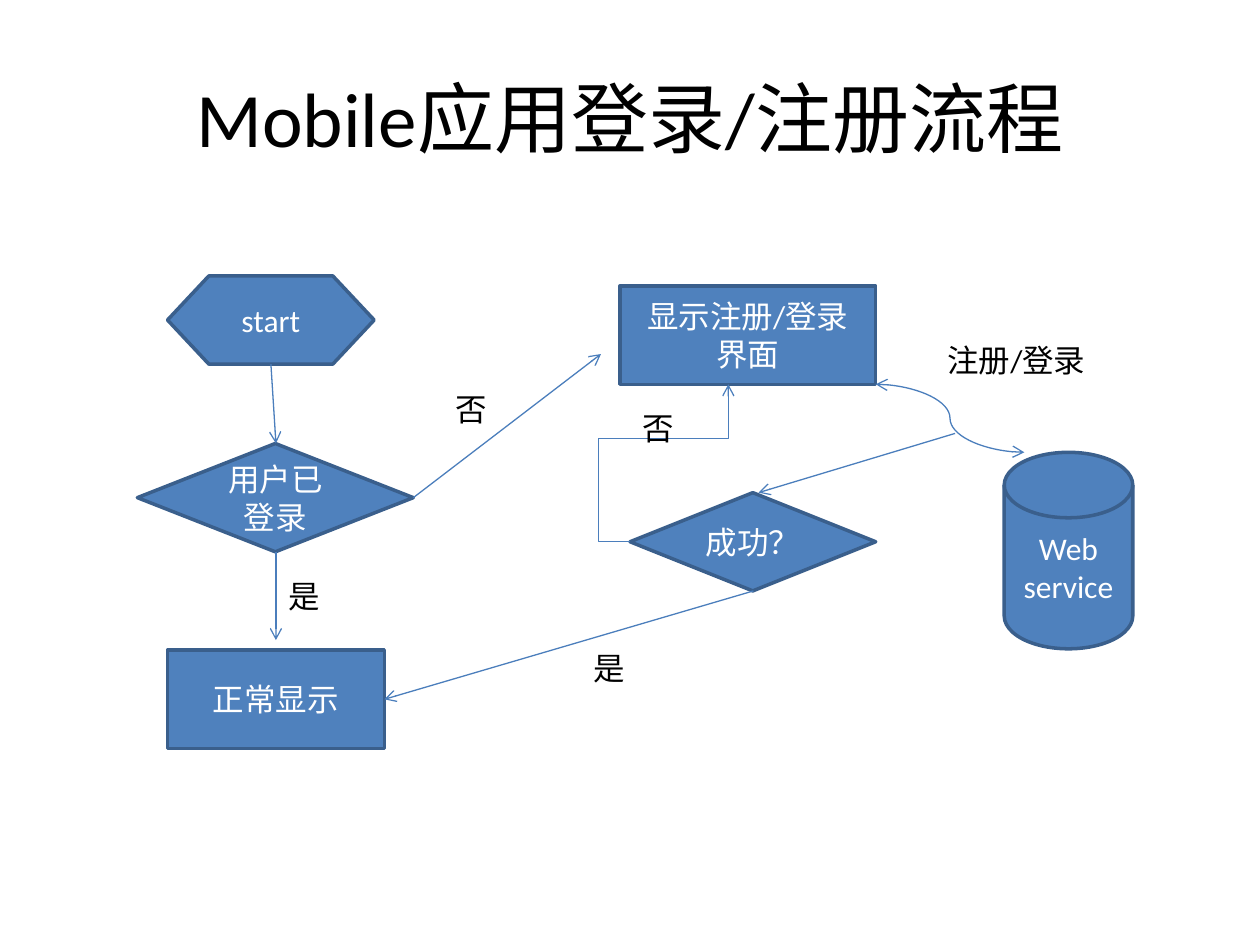
from lxml import etree
from pptx import Presentation
from pptx.dml.color import RGBColor
from pptx.enum.shapes import MSO_CONNECTOR, MSO_SHAPE
from pptx.enum.text import MSO_ANCHOR, PP_ALIGN
from pptx.oxml.ns import qn
from pptx.util import Inches, Pt

FONT = "Calibri"
BLACK = RGBColor(0x00, 0x00, 0x00)
WHITE = RGBColor(0xFF, 0xFF, 0xFF)
NODE_FILL = RGBColor(0x4F, 0x81, 0xBD)
NODE_LINE = RGBColor(0x3A, 0x5F, 0x8C)
ARROW_LINE = RGBColor(0x4B, 0x7E, 0xBC)
PREPARATION = MSO_SHAPE.FLOWCHART_PREPARATION
DECISION = MSO_SHAPE.FLOWCHART_DECISION
PROCESS = MSO_SHAPE.FLOWCHART_PROCESS
DISK = MSO_SHAPE.FLOWCHART_MAGNETIC_DISK
STRAIGHT = MSO_CONNECTOR.STRAIGHT
ELBOW = MSO_CONNECTOR.ELBOW
CURVE = MSO_CONNECTOR.CURVE
CENTER = PP_ALIGN.CENTER
LEFT = PP_ALIGN.LEFT
MIDDLE = MSO_ANCHOR.MIDDLE
TOP = MSO_ANCHOR.TOP


def write_text(shape, text, size, color, alignment, anchor):
    """Fill a shape with one formatted paragraph."""
    frame = shape.text_frame
    frame.word_wrap = True
    frame.vertical_anchor = anchor
    frame.text = text
    paragraph = frame.paragraphs[0]
    paragraph.alignment = alignment
    font = paragraph.runs[0].font
    font.name = FONT
    font.size = Pt(size)
    font.color.rgb = color


def add_node(slide, origin, kind, left, top, width, height, text):
    """Add a flowchart step at an offset from the region origin."""
    shape = slide.shapes.add_shape(
        kind, Inches(origin[0] + left), Inches(origin[1] + top), Inches(width), Inches(height))
    shape.shadow.inherit = False
    shape.fill.solid()
    shape.fill.fore_color.rgb = NODE_FILL
    shape.line.color.rgb = NODE_LINE
    shape.line.width = Pt(2)
    write_text(shape, text, 18, WHITE, CENTER, MIDDLE)


def add_label(slide, origin, left, top, width, height, text, vertical=False):
    """Add a caption at an offset from the region origin."""
    box = slide.shapes.add_textbox(
        Inches(origin[0] + left), Inches(origin[1] + top), Inches(width), Inches(height))
    write_text(box, text, 18, BLACK, LEFT, TOP)
    if vertical:
        box.text_frame._txBody.find(qn("a:bodyPr")).set("vert", "eaVert")


def add_arrow(slide, origin, start, end, kind=STRAIGHT, ends=("tailEnd",)):
    """Add an arrow between two offsets from the region origin."""
    x, y = origin
    connector = slide.shapes.add_connector(
        kind, Inches(x + start[0]), Inches(y + start[1]), Inches(x + end[0]), Inches(y + end[1]))
    connector.line.color.rgb = ARROW_LINE
    connector.line.width = Pt(0.75)
    properties = connector._element.spPr
    line = properties.find(qn("a:ln"))
    for name in ends:
        etree.SubElement(line, qn("a:" + name), type="arrow")
    etree.SubElement(properties, qn("a:effectLst"))
    return connector


def bend_around(connector, adjustments):
    """Turn an upward elbow into a four-part route with the given bends."""
    properties = connector._element.spPr
    transform = properties.find(qn("a:xfrm"))
    transform.attrib.pop("flipV", None)
    transform.set("rot", "10800000")
    transform.set("flipH", "1")
    geometry = properties.find(qn("a:prstGeom"))
    geometry.set("prst", "bentConnector4")
    guides = geometry.find(qn("a:avLst"))
    for number, value in enumerate(adjustments, 1):
        etree.SubElement(guides, qn("a:gd"), name=f"adj{number}", fmla=f"val {value}")


def add_title(slide, left, top, width, height):
    """Add the slide title in its box."""
    box = slide.shapes.add_textbox(Inches(left), Inches(top), Inches(width), Inches(height))
    write_text(box, "Mobile应用登录/注册流程", 44, BLACK, CENTER, MIDDLE)


def add_session_check(slide, left, top):
    """Add the steps from start to normal display."""
    origin = (left, top)
    add_node(slide, origin, PREPARATION, 0.24, 0, 1.64, 0.7, "start")
    add_node(slide, origin, DECISION, 0, 1.33, 2.19, 0.86, "用户已登录")
    add_node(slide, origin, PROCESS, 0.24, 2.97, 1.72, 0.78, "正常显示")
    add_arrow(slide, origin, (1.06, 0.7), (1.1, 1.33))
    add_arrow(slide, origin, (1.1, 2.19), (1.1, 2.89))
    add_arrow(slide, origin, (2.19, 1.76), (3.68, 0.62))
    add_label(slide, origin, 1.1, 2.34, 1.02, 0.4, "是")
    add_label(slide, origin, 2.43, 0.86, 0.94, 0.4, "否")


def add_registration(slide, left, top):
    """Add the registration loop and the web service."""
    origin = (left, top)
    add_node(slide, origin, PROCESS, 0, 0, 2.03, 0.78, "显示注册/登录界面")
    add_node(slide, origin, DISK, 3.05, 1.32, 1.02, 1.56, "Web service")
    add_node(slide, origin, DECISION, 0.08, 1.64, 1.95, 0.78, "成功？")
    add_arrow(slide, origin, (2.03, 0.78), (3.21, 1.32), CURVE, ("headEnd", "tailEnd"))
    add_arrow(slide, origin, (2.66, 1.17), (1.1, 1.64))
    add_arrow(slide, origin, (1.06, 2.42), (-1.87, 3.28))
    retry = add_arrow(slide, origin, (0.08, 2.03), (0.86, 0.78), ELBOW)
    bend_around(retry, (-32000, 65600))
    add_label(slide, origin, 2.5, 0.39, 1.48, 0.4, "注册/登录")
    add_label(slide, origin, -0.39, 2.81, 0.5, 0.47, "是", vertical=True)
    add_label(slide, origin, 0.08, 0.93, 0.47, 0.4, "否")


def main():
    """Build and save the slide."""
    presentation = Presentation()
    presentation.slide_width = Inches(10)
    presentation.slide_height = Inches(7.5)
    slide = presentation.slides.add_slide(presentation.slide_layouts[6])
    add_title(slide, 0.5, 0.3, 9, 1.25)
    add_session_check(slide, 1.09, 2.19)
    add_registration(slide, 4.92, 2.27)
    presentation.save("out.pptx")


main()
